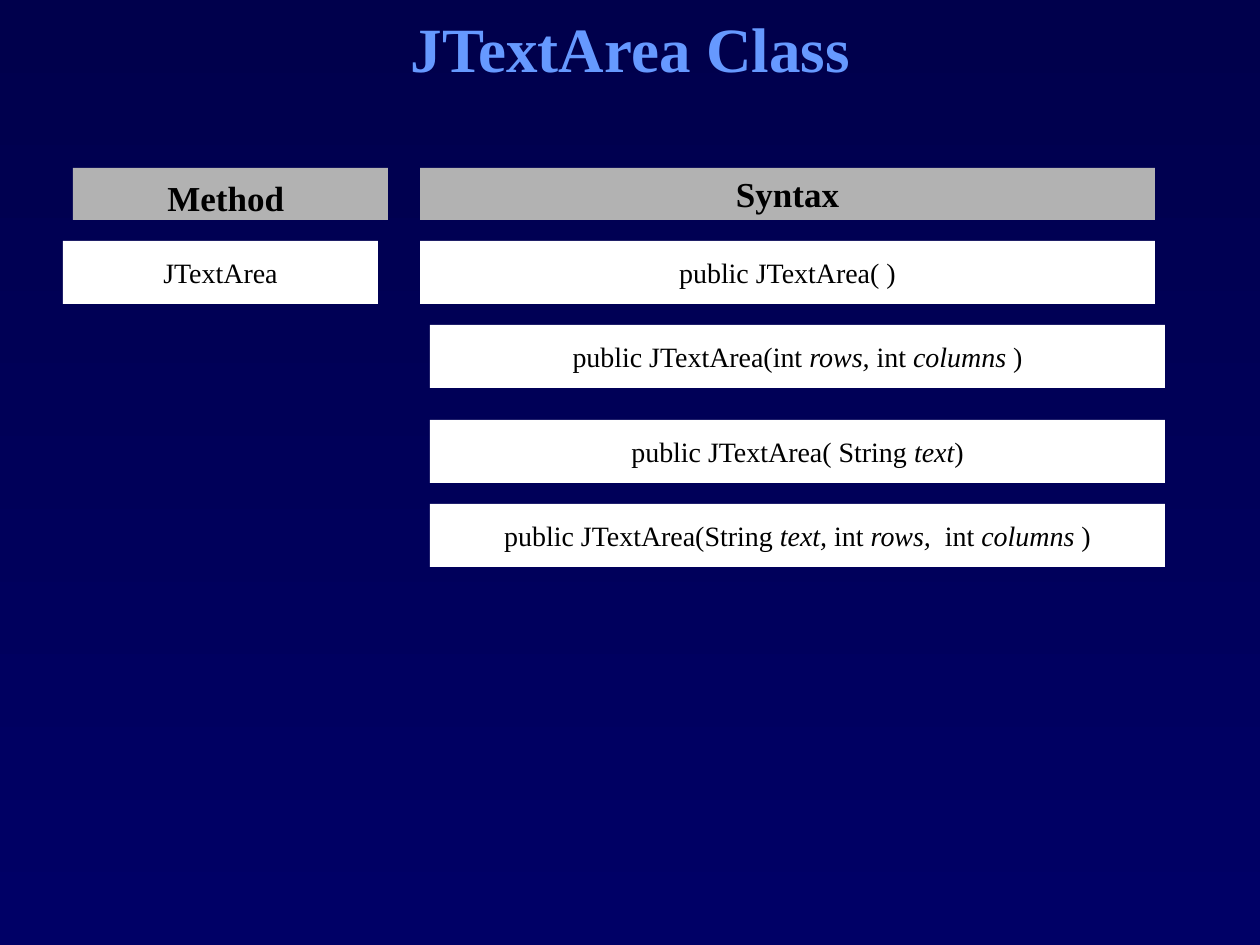
from pptx import Presentation
from pptx.dml.color import RGBColor
from pptx.enum.shapes import MSO_SHAPE
from pptx.enum.text import MSO_ANCHOR, PP_ALIGN
from pptx.util import Emu, Pt

FONT = "Times New Roman"
COLORS = {"top": "00004C", "base": "000066", "title": "6699FF",
          "head": "B2B2B2", "cell": "FFFFFF", "text": "000000"}


def px(n):
    return Emu(round(n * 914400 / 126))


def color(name):
    return RGBColor.from_string(COLORS[name])


def style(para, size, name, bold=False):
    para.alignment = PP_ALIGN.CENTER
    font = para.font
    font.name, font.size, font.bold = FONT, Pt(size), bold
    font.color.rgb = color(name)


def paint(slide):
    fill = slide.background.fill
    fill.gradient()
    fill.gradient_angle = 270
    for stop, name in zip(fill.gradient_stops, ("top", "base")):
        stop.color.rgb = color(name)


def add_title(slide, text):
    title = slide.shapes.title
    title.left, title.top = px(95), px(0)
    title.width, title.height = px(1071), px(95)
    frame = title.text_frame
    frame.text = text
    frame.vertical_anchor = MSO_ANCHOR.MIDDLE
    style(frame.paragraphs[0], 36, "title", True)


def add_box(slide, text, x, y, w, h, fill, size, bold=False):
    """Draw a filled box; text between asterisks is italic."""
    box = slide.shapes.add_shape(MSO_SHAPE.RECTANGLE, px(x), px(y), px(w), px(h))
    box.shadow.inherit = False
    box.fill.solid()
    box.fill.fore_color.rgb = color(fill)
    box.line.fill.background()
    frame = box.text_frame
    frame.word_wrap = False
    frame.vertical_anchor = MSO_ANCHOR.MIDDLE
    para = frame.paragraphs[0]
    style(para, size, "text", bold)
    for i, part in enumerate(text.split("*")):
        run = para.add_run()
        run.text = part
        if i % 2:
            run.font.italic = True
    return box


def add_head(slide, text, x, w):
    return add_box(slide, text, x, 168, w, 52, "head", 20, True)


def add_cell(slide, text, x, y, w):
    add_box(slide, text, x, y, w, 63, "cell", 16)


def main():
    prs = Presentation()
    prs.slide_width, prs.slide_height = px(1260), px(945)
    slide = prs.slides.add_slide(prs.slide_layouts[5])
    paint(slide)
    add_title(slide, "JTextArea Class")

    # Column heads; the first label sits slightly left and low
    thin, wide = 315, 735
    method = add_head(slide, "Method", 73, thin).text_frame
    method.margin_right, method.margin_bottom = px(22), px(0)
    add_head(slide, "Syntax", 420, wide)

    # Method name and its constructors
    add_cell(slide, "JTextArea", 63, 241, thin)
    for text, x, y in (
        ("public JTextArea( )", 420, 241),
        ("public JTextArea(int *rows, *int *columns* )", 430, 325),
        ("public JTextArea( String *text*)", 430, 420),
        ("public JTextArea(String *text, *int *rows, * int *columns* )", 430, 504),
    ):
        add_cell(slide, text, x, y, wide)

    prs.save("out.pptx")


if __name__ == "__main__":
    main()
